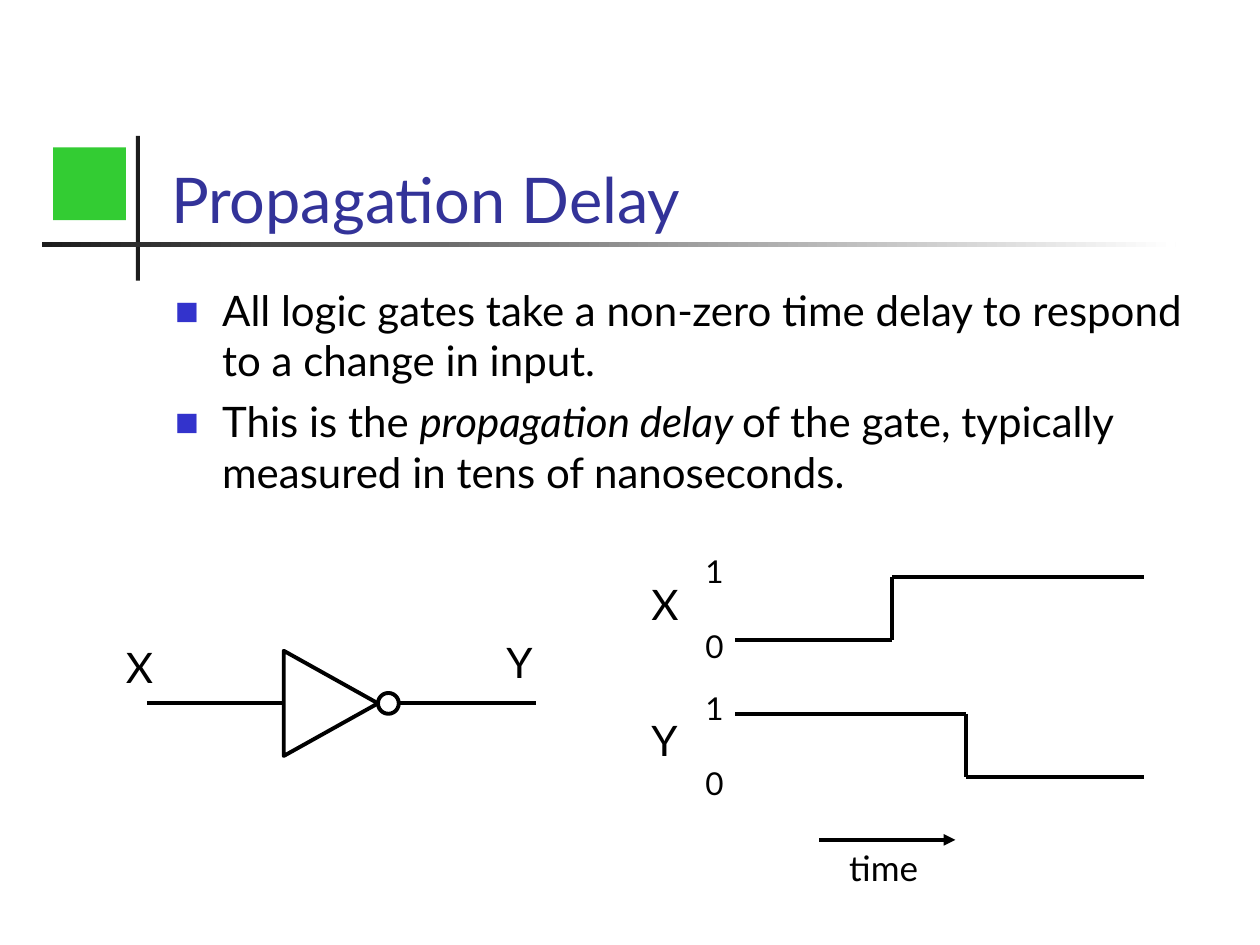
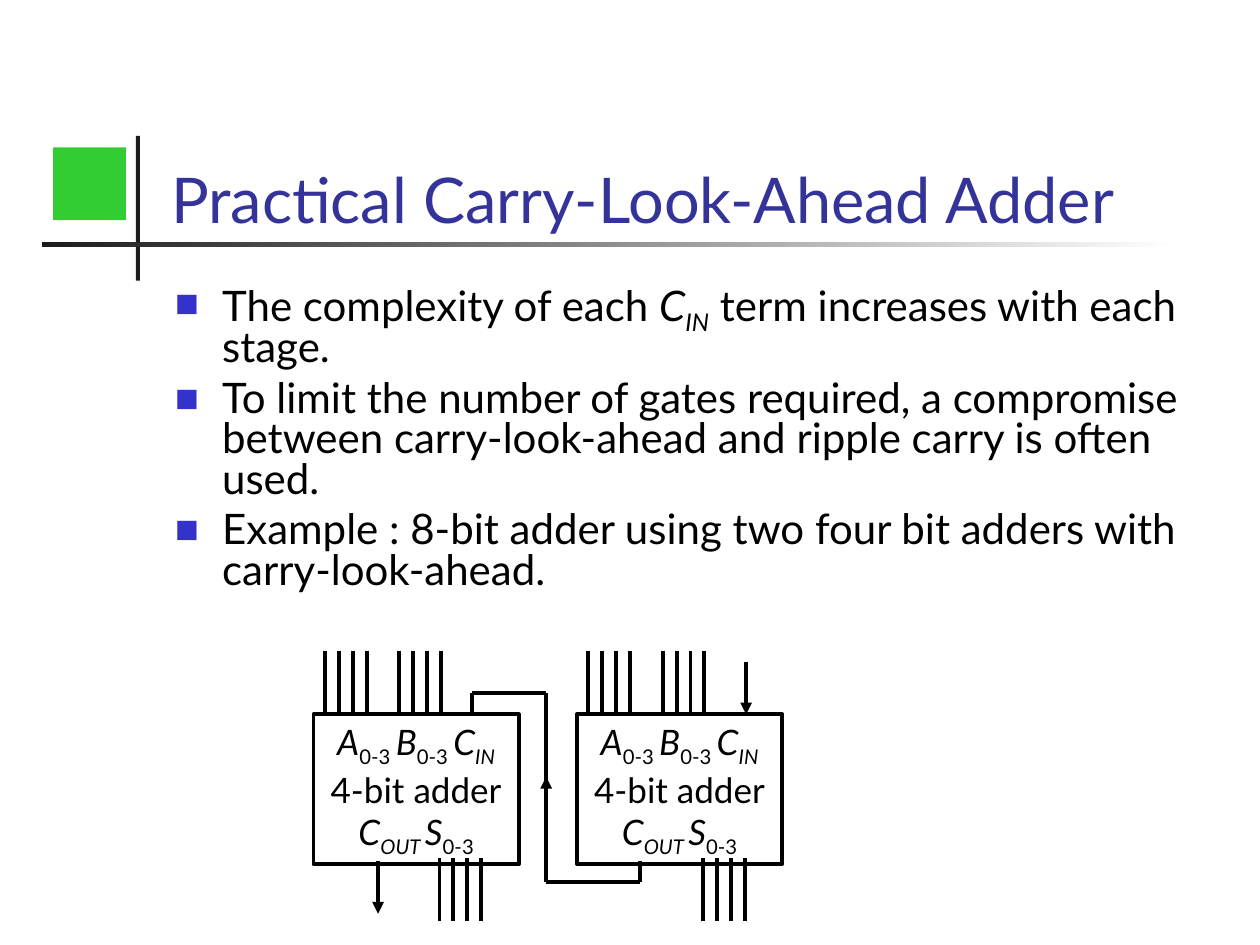
from dataclasses import dataclass
from itertools import pairwise
from typing import NamedTuple

from lxml import etree
from pptx import Presentation
from pptx.dml.color import RGBColor
from pptx.enum.shapes import MSO_CONNECTOR, MSO_SHAPE
from pptx.enum.text import MSO_ANCHOR, PP_ALIGN
from pptx.oxml.ns import qn
from pptx.shapes.autoshape import Shape
from pptx.slide import Slide
from pptx.text.text import TextFrame
from pptx.util import Cm, Pt

RECTANGLE = MSO_SHAPE.RECTANGLE
TRIANGLE = MSO_SHAPE.ISOSCELES_TRIANGLE
OVAL = MSO_SHAPE.OVAL
STRAIGHT = MSO_CONNECTOR.STRAIGHT
TOP, BOTTOM = MSO_ANCHOR.TOP, MSO_ANCHOR.BOTTOM
LEFT, CENTER = PP_ALIGN.LEFT, PP_ALIGN.CENTER


@dataclass(frozen=True)
class Theme:
    font: str = "Lato"
    ink: RGBColor = RGBColor(0x00, 0x00, 0x00)
    paper: RGBColor = RGBColor(0xFF, 0xFF, 0xFF)
    rule: RGBColor = RGBColor(0x1C, 0x1C, 0x1C)
    title: RGBColor = RGBColor(0x33, 0x33, 0x99)
    emblem: RGBColor = RGBColor(0x33, 0xCC, 0x33)
    bullet: str = "3333CC"
    title_size: float = 36
    body_size: float = 24
    caption_size: float = 20
    level_size: float = 18
    line_width: float = 2.25


THEME = Theme()


class Point(NamedTuple):
    """A place on the slide, in centimetres."""
    x: float
    y: float


class Box(NamedTuple):
    """A frame on the slide, in centimetres."""
    left: float
    top: float
    width: float
    height: float


class Span(NamedTuple):
    text: str
    italic: bool = False
    subscript: bool = False


class Label(NamedTuple):
    text: str
    box: Box
    size: float = THEME.body_size


class Waveform(NamedTuple):
    name: str
    label_top: float
    levels_top: float
    points: list[Point]


Line = list[Span]

TITLE_BOX = Box(3.2, 1.7, 21.64, 3.18)
ADDER_TEXT: list[Line] = [
    [Span("A", True), Span("0-3 ", subscript=True),
     Span("B", True), Span("0-3 ", subscript=True),
     Span("C", True), Span("IN", True, True)],
    [Span("4-bit adder")],
    [Span("C", True), Span("OUT ", True, True),
     Span("S", True), Span("0-3", subscript=True)],
]
DELAY_BULLETS: list[Line] = [
    [Span("All logic gates take a non-zero time delay to respond "
          "to a change in input.")],
    [Span("This is the "), Span("propagation delay ", True),
     Span("of the gate, typically measured in tens of nanoseconds.")],
]
ADDER_BULLETS: list[Line] = [
    [Span("The complexity of each "), Span("C", True),
     Span("IN", True, True), Span(" term increases with each stage.")],
    [Span("To limit the number of gates required, a compromise between "
          "carry-look-ahead and ripple carry is often used.")],
    [Span("Example : 8-bit adder using two four bit adders with "
          "carry-look-ahead.")],
]
WAVEFORMS = [
    Waveform("X", 11.53, 11.0, [Point(14.82, 12.9), Point(17.99, 12.9),
                                Point(17.99, 11.64), Point(23.07, 11.64)]),
    Waveform("Y", 14.27, 13.76, [Point(14.82, 14.39), Point(19.47, 14.39),
                                 Point(19.47, 15.66), Point(23.07, 15.66)]),
]

ADDER_TOP, ADDER_WIDTH, ADDER_HEIGHT = 14.4, 4.14, 3.02
ADDER_LEFTS = (6.32, 11.63)
PIN_COUNT, PIN_PITCH, PIN_LENGTH = 4, 0.28, 1.27
# Each bus: distance from the adder's left side, top of its pins
BUSES = ((0.23, 13.13), (1.73, 13.13), (2.54, 17.3))
CARRY_PATH = [Point(12.91, 17.35), Point(12.91, 17.78), Point(11.01, 17.78),
              Point(11.01, 13.97), Point(9.52, 13.97), Point(9.52, 14.4)]
CARRY_ARROWS = [
    (Point(15.04, 13.34), Point(15.04, 14.4)),
    (Point(11.01, 16.72), Point(11.01, 15.66)),
    (Point(7.62, 17.35), Point(7.62, 18.42)),
]


def write_line(frame: TextFrame, index: int, spans: Line, size: float,
               color: RGBColor = THEME.ink, align: PP_ALIGN = LEFT):
    """Fill the paragraph at index, adding it when it is not the first."""
    paragraph = frame.add_paragraph() if index else frame.paragraphs[0]
    paragraph.alignment = align
    for span in spans:
        run = paragraph.add_run()
        run.text = span.text
        run.font.name = THEME.font
        run.font.size = Pt(size)
        run.font.italic = span.italic
        run.font.color.rgb = color
        if span.subscript:
            run.font._element.set("baseline", "-25000")
    return paragraph


def add_text_frame(slide: Slide, box: Box, wrap: bool = True,
                   anchor: MSO_ANCHOR = TOP) -> TextFrame:
    frame = slide.shapes.add_textbox(*map(Cm, box)).text_frame
    frame.word_wrap = wrap
    frame.vertical_anchor = anchor
    return frame


def add_label(slide: Slide, label: Label) -> None:
    frame = add_text_frame(slide, label.box, wrap=False)
    write_line(frame, 0, [Span(label.text)], label.size)


def add_bullet(paragraph) -> None:
    properties = paragraph._p.get_or_add_pPr()
    properties.set("marL", str(Cm(0.95)))
    properties.set("indent", str(-Cm(0.95)))
    color = etree.SubElement(properties, qn("a:buClr"))
    etree.SubElement(color, qn("a:srgbClr"), val=THEME.bullet)
    etree.SubElement(properties, qn("a:buSzPct"), val="60000")
    etree.SubElement(properties, qn("a:buFont"), typeface=THEME.font)
    etree.SubElement(properties, qn("a:buChar"), char="■")


def add_bullets(slide: Slide, lines: list[Line], height: float,
                line_spacing: float = 1.0) -> None:
    frame = add_text_frame(slide, Box(3.28, 5.61, 21.59, height))
    for index, spans in enumerate(lines):
        paragraph = write_line(frame, index, spans, THEME.body_size)
        add_bullet(paragraph)
        paragraph.line_spacing = line_spacing
        paragraph.space_before = Pt(6 if index else 0)


def add_solid(slide: Slide, box: Box, color: RGBColor) -> Shape:
    shape = slide.shapes.add_shape(RECTANGLE, *map(Cm, box))
    shape.shadow.inherit = False
    shape.fill.solid()
    shape.fill.fore_color.rgb = color
    shape.line.fill.background()
    return shape


def add_outlined(slide: Slide, kind: MSO_SHAPE, box: Box,
                 filled: bool = True) -> Shape:
    shape = slide.shapes.add_shape(kind, *map(Cm, box))
    shape.shadow.inherit = False
    if filled:
        shape.fill.solid()
        shape.fill.fore_color.rgb = THEME.paper
    else:
        shape.fill.background()
    shape.line.color.rgb = THEME.ink
    shape.line.width = Pt(THEME.line_width)
    return shape


def add_wire(slide: Slide, start: Point, end: Point,
             arrow: bool = False) -> None:
    wire = slide.shapes.add_connector(STRAIGHT, *map(Cm, start + end))
    wire.line.color.rgb = THEME.ink
    wire.line.width = Pt(THEME.line_width)
    properties = wire._element.spPr
    if arrow:
        outline = properties.find(qn("a:ln"))
        etree.SubElement(outline, qn("a:tailEnd"), type="triangle")
    etree.SubElement(properties, qn("a:effectLst"))


def add_wire_path(slide: Slide, points: list[Point]) -> None:
    for start, end in pairwise(points):
        add_wire(slide, start, end)


def add_titled_slide(presentation, title: str) -> Slide:
    slide = presentation.slides.add_slide(presentation.slide_layouts[6])
    add_solid(slide, Box(2.74, 2.74, 0.08, 2.92), THEME.rule)
    fading_rule = add_solid(slide, Box(0.84, 4.88, 22.86, 0.1), THEME.rule)
    fading_rule.fill.gradient()
    fading_rule.fill.gradient_angle = 0
    for stop, color in zip(fading_rule.fill.gradient_stops,
                           (THEME.rule, THEME.paper)):
        stop.color.rgb = color
    add_solid(slide, Box(1.07, 2.97, 1.47, 1.47), THEME.emblem)
    frame = add_text_frame(slide, TITLE_BOX, anchor=BOTTOM)
    write_line(frame, 0, [Span(title)], THEME.title_size, THEME.title)
    return slide


def draw_inverter(slide: Slide) -> None:
    add_wire(slide, Point(2.96, 14.18), Point(10.8, 14.18))
    triangle = add_outlined(slide, TRIANGLE, Box(5.61, 13.23, 2.12, 1.9))
    triangle.rotation = 90
    add_outlined(slide, OVAL, Box(7.62, 13.97, 0.42, 0.42))
    add_label(slide, Label("X", Box(2.29, 12.8, 0.99, 1.27)))
    add_label(slide, Label("Y", Box(9.96, 12.7, 0.99, 1.27)))


def draw_waveform(slide: Slide, wave: Waveform) -> None:
    add_label(slide, Label(wave.name, Box(12.88, wave.label_top, 0.99, 1.27)))
    levels = add_text_frame(slide, Box(13.97, wave.levels_top, 0.86, 2.54),
                            wrap=False)
    write_line(levels, 0, [Span("1")], THEME.level_size)
    low = write_line(levels, 1, [Span("0")], THEME.level_size)
    low.space_before = Pt(21.6)
    add_wire_path(slide, wave.points)


def draw_adder(slide: Slide, left: float) -> None:
    body = add_outlined(slide, RECTANGLE,
                        Box(left, ADDER_TOP, ADDER_WIDTH, ADDER_HEIGHT),
                        filled=False)
    frame = body.text_frame
    frame.word_wrap = False
    frame.vertical_anchor = TOP
    for index, spans in enumerate(ADDER_TEXT):
        write_line(frame, index, spans, THEME.caption_size, align=CENTER)
    for offset, top in BUSES:
        for pin in range(PIN_COUNT):
            x = left + offset + pin * PIN_PITCH
            add_wire(slide, Point(x, top), Point(x, top + PIN_LENGTH))


def build_delay_slide(presentation) -> None:
    slide = add_titled_slide(presentation, "Propagation Delay")
    add_bullets(slide, DELAY_BULLETS, 4.55)
    draw_inverter(slide)
    for wave in WAVEFORMS:
        draw_waveform(slide, wave)
    add_wire(slide, Point(16.51, 16.93), Point(19.26, 16.93), arrow=True)
    add_label(slide, Label("time", Box(16.87, 16.93, 2.01, 1.12),
                           THEME.caption_size))


def build_adder_slide(presentation) -> None:
    slide = add_titled_slide(presentation, "Practical Carry-Look-Ahead Adder")
    add_bullets(slide, ADDER_BULLETS, 7.09, line_spacing=0.8)
    for left in ADDER_LEFTS:
        draw_adder(slide, left)
    add_wire_path(slide, CARRY_PATH)
    for start, end in CARRY_ARROWS:
        add_wire(slide, start, end, arrow=True)


def main() -> None:
    presentation = Presentation()
    presentation.slide_width = Cm(25.4)
    presentation.slide_height = Cm(19.05)
    build_delay_slide(presentation)
    build_adder_slide(presentation)
    presentation.save("out.pptx")


if __name__ == "__main__":
    main()
